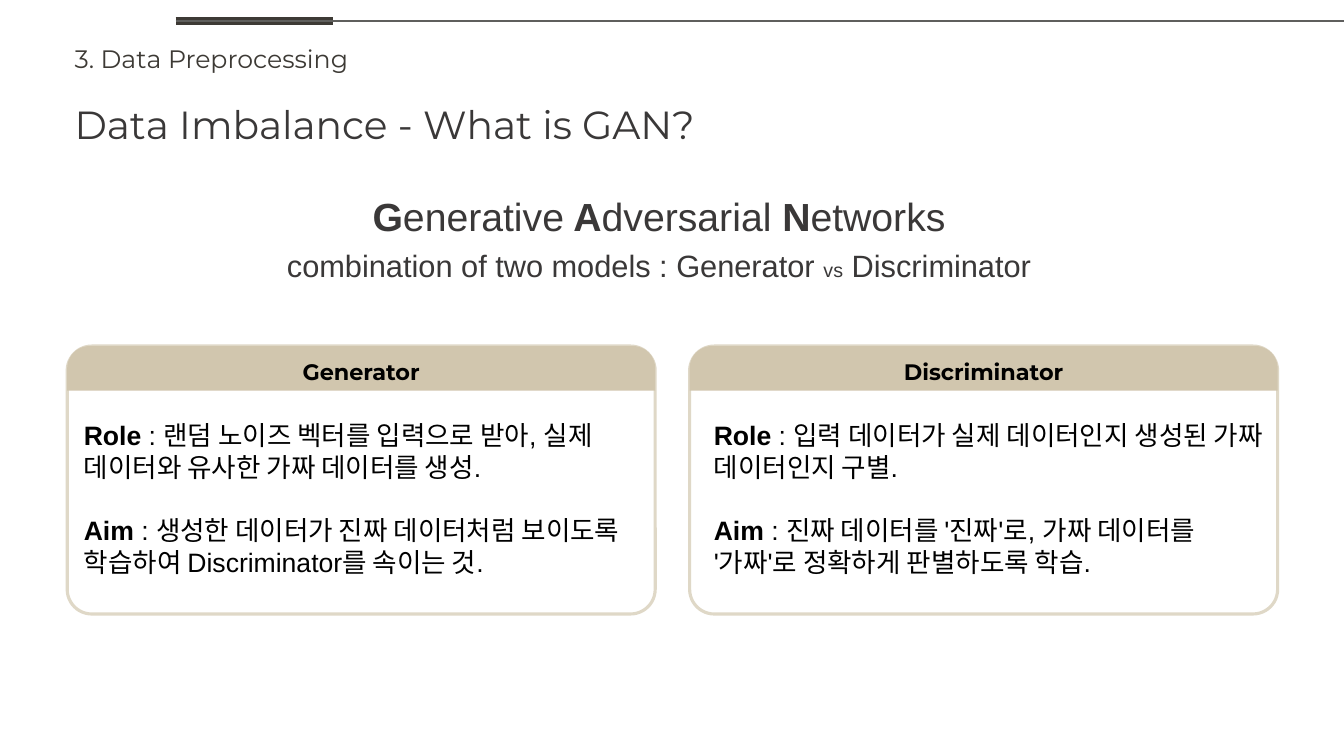
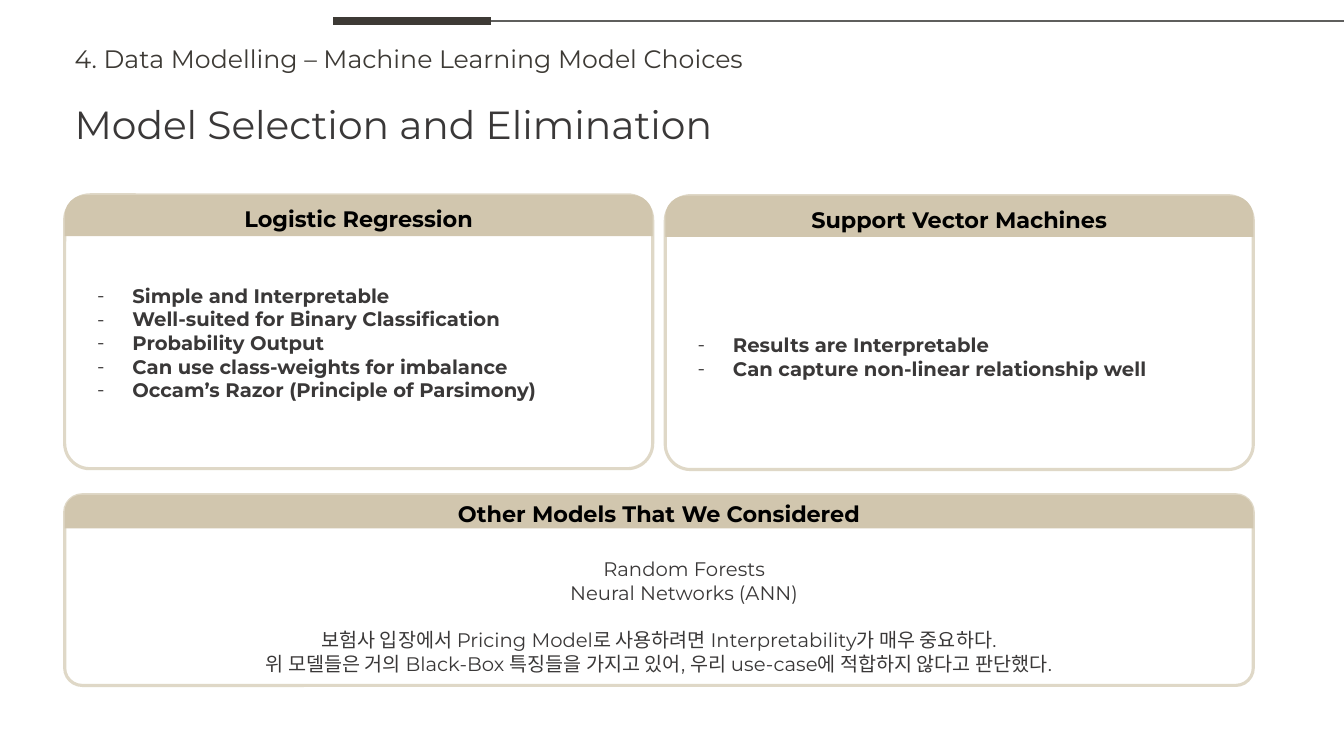
from dataclasses import dataclass
from lxml.etree import SubElement
from pptx import Presentation
from pptx.dml.color import RGBColor
from pptx.enum.shapes import MSO_CONNECTOR, MSO_SHAPE
from pptx.enum.text import MSO_ANCHOR, PP_ALIGN
from pptx.oxml.ns import qn
from pptx.util import Inches, Pt


@dataclass(frozen=True)
class Theme:
    ink: str = "3A3838"
    dark: str = "3D3A35"
    rule: str = "5F5F5D"
    black: str = "000000"
    white: str = "FFFFFF"
    sand: str = "D1C6AE"
    edge: str = "DFD8C7"
    font: str = "Montserrat"
    plain: str = "Arial"
    title: int = 28
    lead: int = 22
    body: int = 19
    label: int = 18
    head: int = 16
    small: int = 14


T = Theme()
COLS, ROWS = 160, 90
CELL = Inches(1) // 12


def place(slide, box, kind=None, adjust=(), fill=None, edge=None):
    """Add a text box, or a preset shape, at left, top, width, height in cells."""
    at = [round(n * CELL) for n in box]
    if kind is None:
        return slide.shapes.add_textbox(*at)
    shape = slide.shapes.add_shape(kind, *at)
    shape.shadow.inherit = False
    for i, share in enumerate(adjust):
        shape.adjustments[i] = share
    shape.fill.solid()
    shape.fill.fore_color.rgb = RGBColor.from_string(fill)
    if edge:
        shape.line.color.rgb = RGBColor.from_string(edge)
        shape.line.width = Pt(2.25)
    else:
        shape.line.fill.background()
    return shape


def write(shape, lines, size=T.small, color=T.ink, font=T.font, bold=False,
          align=PP_ALIGN.LEFT, anchor=MSO_ANCHOR.TOP, pad=0.1, top=None,
          gaps=None, space=None):
    """Fill a shape; a line is a string or a list of (text, size, bold) runs."""
    frame = shape.text_frame
    frame.word_wrap = True
    frame.vertical_anchor = anchor
    frame.margin_left = frame.margin_right = Inches(0.1)
    frame.margin_bottom = Inches(pad)
    frame.margin_top = Inches(pad if top is None else top)
    for i, line in enumerate(lines):
        para = frame.paragraphs[0] if i == 0 else frame.add_paragraph()
        para.alignment = align
        if space:
            para.line_spacing = space
        if gaps and i in gaps:
            para.space_before = Pt(gaps[i])
        runs = [(line, size, bold)] if isinstance(line, str) else line
        for text, points, heavy in runs:
            run = para.add_run()
            run.text = text
            run.font.size = Pt(points)
            run.font.bold = heavy
            run.font.name = font
            run.font.color.rgb = RGBColor.from_string(color)
    return frame.paragraphs


deck = Presentation()
deck.slide_width, deck.slide_height = COLS * CELL, ROWS * CELL

# Shared header: section tab, rule, section label and title
TAB = 18.8
pages = []
for part, label, title, start in (
    (3, "3. Data Preprocessing", "Data Imbalance - What is GAN?", 0),
    (4, "4. Data Modelling – Machine Learning Model Choices",
     "Model Selection and Elimination", TAB),
):
    page = deck.slides.add_slide(deck.slide_layouts[6])
    pages.append(page)
    write(place(page, (7.7, 4.6, 149.5, 4.8)), [label], size=T.label,
          color=T.dark, pad=0.05)
    write(place(page, (7.7, 11.4, 149.5, 6.8)), [title], size=T.title, pad=0.05)
    left = 2.1 + TAB * (part - 2)
    for x1, x2, color, width in (
        (left, left + TAB, T.dark, 6),
        (left + start, COLS, T.rule, 0.75),
    ):
        y = round(2.5 * CELL)
        line = page.shapes.add_connector(
            MSO_CONNECTOR.STRAIGHT, round(x1 * CELL), y, round(x2 * CELL), y)
        line.line.color.rgb = RGBColor.from_string(color)
        line.line.width = Pt(width)
        SubElement(line._element.spPr, qn("a:effectLst"))

# Cards on both slides
gan, model = pages
cards = {}
for page, box, band, head in (
    (gan, (8, 41.2, 70, 31.9), 5.3, "Generator"),
    (gan, (82.1, 41.2, 70, 31.9), 5.3, "Discriminator"),
    (model, (79.2, 23.3, 70, 32.6), 4.9, "Support Vector Machines"),
    (model, (7.7, 23.2, 70, 32.6), 4.9, "Logistic Regression"),
    (model, (7.7, 58.9, 141.5, 22.7), 4, "Other Models That We Considered"),
):
    cards[head] = place(page, box, MSO_SHAPE.ROUNDED_RECTANGLE, (0.092,),
                        T.white, T.edge)
    strip = place(page, (*box[:3], band), MSO_SHAPE.ROUND_2_SAME_RECTANGLE,
                  (0.5, 0), T.sand)
    write(strip, [head], size=T.head, color=T.black, bold=True,
          align=PP_ALIGN.CENTER, anchor=MSO_ANCHOR.MIDDLE)

# GAN: name and the two roles
name = [(text, T.title, heavy) for text, heavy in (
    ("G", True), ("enerative", False), (" A", True), ("dversarial", False),
    (" N", True), ("etworks", False))]
duel = [("combination of two models : Generator ", T.lead, False),
        ("vs", T.small, False), (" Discriminator", T.lead, False)]
write(place(gan, (10.7, 20.6, 135.5, 13.7)), [name, duel], font=T.plain,
      align=PP_ALIGN.CENTER, space=1.2)

for left, role, aim, more in (
    (8.8, "랜덤 노이즈 벡터를 입력으로 받아, 실제 데이터와 유사한 가짜 데이터를 생성.",
     "생성한 데이터가 진짜 데이터처럼 보이도록 학습하여 Discriminator를 속이는 것.", []),
    (83.8, "입력 데이터가 실제 데이터인지 생성된 가짜 데이터인지 구별.",
     "진짜 데이터를 '진짜'로, 가짜 데이터를", ["'가짜'로 정확하게 판별하도록 학습."]),
):
    lines = [[(key, T.body, True), (": " + text, T.body, False)]
             for key, text in (("Role ", role), ("Aim ", aim))]
    write(place(gan, (left, 48.7, 68.6, 28.9)), lines + more, size=T.body,
          color=T.black, font=T.plain, gaps={1: 22})

# Models: reasons for the chosen ones
for head, top, points in (
    ("Support Vector Machines", 1.29,
     ["Results are Interpretable", "Can capture non-linear relationship well"]),
    ("Logistic Regression", 0.81,
     ["Simple and Interpretable", "Well-suited for Binary Classification",
      "Probability Output", "Can use class-weights for imbalance",
      "Occam’s Razor (Principle of Parsimony)"]),
):
    for para in write(cards[head], points, bold=True, top=top):
        props = para._p.get_or_add_pPr()
        props.set("marL", str(Inches(0.5)))
        props.set("indent", str(Inches(-0.35)))
        tint = SubElement(props, qn("a:buClr"))
        SubElement(tint, qn("a:srgbClr"), val=T.ink)
        SubElement(props, qn("a:buFont"), typeface=T.font)
        SubElement(props, qn("a:buChar"), char="-")

# Models: those left out
rest = write(
    cards["Other Models That We Considered"],
    ["Random Forests", "Neural Networks (ANN)",
     "보험사 입장에서 Pricing Model로 사용하려면 Interpretability가 매우 중요하다.",
     "위 모델들은 거의 Black-Box 특징들을 가지고 있어, 우리 use-case에 적합하지 않다고 판단했다."],
    align=PP_ALIGN.CENTER, top=0.57, gaps={2: 17})
for para in rest[:2]:
    para._p.get_or_add_pPr().set("marL", str(Inches(0.5)))

deck.save("out.pptx")
